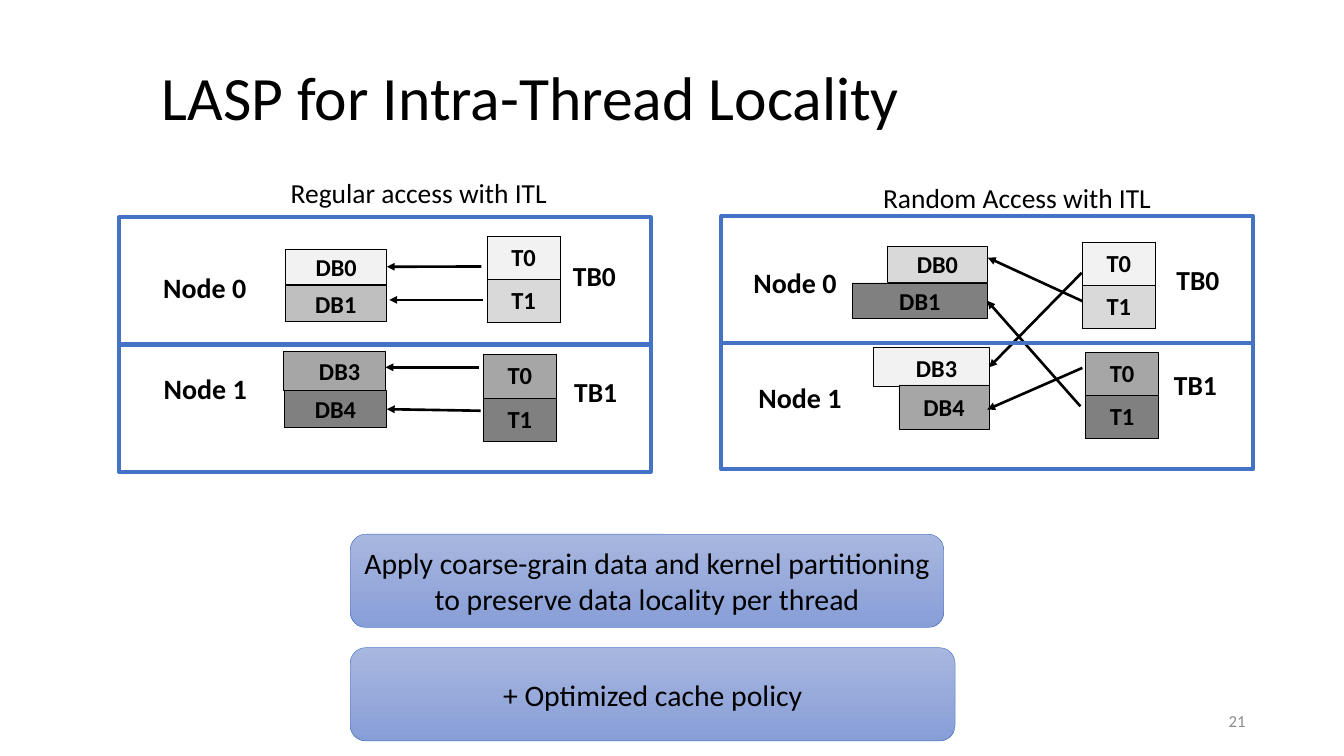
from lxml.etree import SubElement
from pptx import Presentation
from pptx.dml.color import RGBColor
from pptx.enum.shapes import MSO_CONNECTOR, MSO_SHAPE
from pptx.enum.text import MSO_ANCHOR, MSO_AUTO_SIZE, PP_ALIGN
from pptx.oxml.ns import qn
from pptx.util import Inches, Pt

theme = {
    "font": "Calibri",
    "ink": "000000", "mute": "8C8C8C", "frame": "4472C4",
    "top": "A8B7DF", "base": "889ED7",
    "pale": "F2F2F2", "light": "D9D9D9", "soft": "BFBFBF", "mid": "A6A6A6", "dark": "808080",
    "title": 70.4, "page": 19.2, "head": 31.4, "node": 32, "block": 27.7, "thread": 28, "note": 34,
}
LEFT, MID, RIGHT = PP_ALIGN.LEFT, PP_ALIGN.CENTER, PP_ALIGN.RIGHT

deck = Presentation()
deck.slide_width, deck.slide_height = Inches(21.33), Inches(12)
slide = deck.slides.add_slide(deck.slide_layouts[6])
shapes = slide.shapes
col, row = deck.slide_width / 64, deck.slide_height / 36


def grid(*spots):
    return [int(spot * (row if odd % 2 else col)) for odd, spot in enumerate(spots)]


def write(frame, words, size, bold=False, align=MID, ink="ink"):
    frame.text = words
    line = frame.paragraphs[0]
    line.alignment = align
    line.font.name = theme["font"]
    line.font.size = Pt(theme[size])
    line.font.bold = bold
    line.font.color.rgb = RGBColor.from_string(theme[ink])
    return line


title = shapes.add_textbox(*grid(7.41, 1.29, 49.17, 6.96)).text_frame
title.word_wrap = True
title.vertical_anchor = MSO_ANCHOR.MIDDLE
write(title, "LASP for Intra-Thread Locality", "title", align=LEFT).line_spacing = 0.9

page = shapes.add_textbox(*grid(45.21, 33.36, 14.4, 1.92)).text_frame
page.word_wrap = True
page.vertical_anchor = MSO_ANCHOR.MIDDLE
write(page, "21", "page", align=RIGHT, ink="mute")

blocks = {}
for side, name, spot, fill in [
    ("west", "DB1", (13.59, 13.59, 4.8, 1.71), "soft"),
    ("west", "DB0", (13.59, 11.85, 4.83, 1.71), "pale"),
    ("west", "DB3", (13.5, 16.74, 4.83, 1.83), "mid"),
    ("west", "DB4", (13.53, 18.6, 4.89, 1.77), "dark"),
    ("east", "DB0", (42.24, 11.73, 4.8, 1.71), "light"),
    ("east", "DB1", (40.59, 13.47, 6.42, 1.71), "dark"),
    ("east", "DB3", (41.58, 16.56, 5.52, 1.86), "pale"),
    ("east", "DB4", (42.81, 18.33, 4.29, 2.1), "mid"),
]:
    block = shapes.add_shape(MSO_SHAPE.RECTANGLE, *grid(*spot))
    block.shadow.inherit = False
    block.fill.solid()
    block.fill.fore_color.rgb = RGBColor.from_string(theme[fill])
    block.line.color.rgb = RGBColor.from_string(theme["ink"])
    block.line.width = Pt(0.75)
    frame = block.text_frame
    frame.vertical_anchor = MSO_ANCHOR.MIDDLE
    frame.margin_left = Inches(0.38 if name == "DB3" else 0.21)
    frame.margin_right = Inches(0.21)
    frame.margin_top = frame.margin_bottom = Inches(0.11)
    write(frame, name, "block", bold=True)
    blocks[side, name] = block

for spot, fills in [
    ((23.19, 11.25), ("pale", "light")),
    ((23.01, 16.89), ("mid", "dark")),
    ((51.54, 11.52), ("pale", "light")),
    ((51.69, 16.77), ("mid", "dark")),
]:
    table = shapes.add_table(2, 1, *grid(*spot, 3.48, 4.08)).table
    table.first_row = table.horz_banding = False
    for rank, fill in enumerate(fills):
        cell = table.cell(rank, 0)
        cell.vertical_anchor = MSO_ANCHOR.MIDDLE
        cell.margin_left = cell.margin_right = Inches(0.21)
        cell.margin_top = cell.margin_bottom = Inches(0.11)
        write(cell.text_frame, f"T{rank}", "thread", bold=True)
        props = cell._tc.get_or_add_tcPr()
        for edge in "LRTB":
            rule = SubElement(props, qn(f"a:ln{edge}"), w=str(Pt(1)))
            paint = SubElement(rule, qn("a:solidFill"))
            SubElement(paint, qn("a:srgbClr"), val=theme["ink"])
        cell.fill.solid()
        cell.fill.fore_color.rgb = RGBColor.from_string(theme[fill])

for start, end, goal in [
    ((22.92, 12.69), (18.42, 12.69), ("west", "DB0")),
    ((23.01, 14.28), (18.54, 14.28), None),
    ((22.8, 17.49), (18.36, 17.49), None),
    ((22.89, 19.56), (18.42, 19.5), ("west", "DB4")),
    ((51.54, 14.34), (47.04, 12.27), None),
    ((51.45, 19.35), (47.13, 14.34), ("east", "DB1")),
    ((51.51, 12.99), (47.1, 17.49), ("east", "DB3")),
    ((51.54, 17.52), (47.01, 19.5), None),
]:
    arrow = shapes.add_connector(MSO_CONNECTOR.STRAIGHT, *grid(*start, *end))
    if goal:
        arrow.end_connect(blocks[goal], 3)
    arrow.line.color.rgb = RGBColor.from_string(theme["ink"])
    arrow.line.width = Pt(3)
    SubElement(arrow.line._get_or_add_ln(), qn("a:tailEnd"), type="triangle")
    SubElement(arrow._element.spPr, qn("a:effectLst"))

for words, spot, size, bold, align in [
    ("Regular access with ITL", (13.5, 8.25, 12.9, 1.89), "head", False, MID),
    ("Random Access with ITL", (41.7, 8.46, 13.47, 1.89), "head", False, MID),
    ("Node 0", (7.47, 12.75, 4.62, 1.92), "node", True, LEFT),
    ("Node 1", (7.5, 17.52, 4.62, 1.92), "node", True, LEFT),
    ("Node 0", (35.58, 12.48, 4.62, 1.92), "node", True, LEFT),
    ("Node 1", (35.82, 17.97, 4.62, 1.92), "node", True, LEFT),
    ("TB0", (26.97, 12.18, 2.67, 1.89), "head", True, MID),
    ("TB1", (27.03, 17.73, 2.67, 1.89), "head", True, MID),
    ("TB0", (55.71, 12.39, 2.67, 1.89), "head", True, MID),
    ("TB1", (55.59, 17.37, 2.67, 1.89), "head", True, MID),
]:
    label = shapes.add_textbox(*grid(*spot)).text_frame
    label.word_wrap = False
    label.auto_size = MSO_AUTO_SIZE.SHAPE_TO_FIT_TEXT
    write(label, words, size, bold, align)

for words, spot in [
    ("Apply coarse-grain data and kernel partitioning to preserve data locality per thread",
     (16.68, 25.44, 28.26, 4.44)),
    ("+ Optimized cache policy", (16.68, 30.84, 28.8, 4.44)),
]:
    note = shapes.add_shape(MSO_SHAPE.ROUNDED_RECTANGLE, *grid(*spot))
    note.shadow.inherit = False
    note.fill.gradient()
    note.fill.gradient_angle = 270
    for stop, tint in zip(note.fill.gradient_stops, ("top", "base")):
        stop.color.rgb = RGBColor.from_string(theme[tint])
    note.line.color.rgb = RGBColor.from_string(theme["frame"])
    note.line.width = Pt(0.5)
    note.text_frame.word_wrap = True
    note.text_frame.vertical_anchor = MSO_ANCHOR.MIDDLE
    write(note.text_frame, words, "note")

for spot in [(5.67, 10.35), (5.67, 16.44), (34.35, 10.29), (34.35, 16.32)]:
    panel = shapes.add_shape(MSO_SHAPE.RECTANGLE, *grid(*spot, 25.32, 6.03))
    panel.shadow.inherit = False
    panel.fill.background()
    panel.line.color.rgb = RGBColor.from_string(theme["frame"])
    panel.line.width = Pt(4.5)

deck.save("out.pptx")
